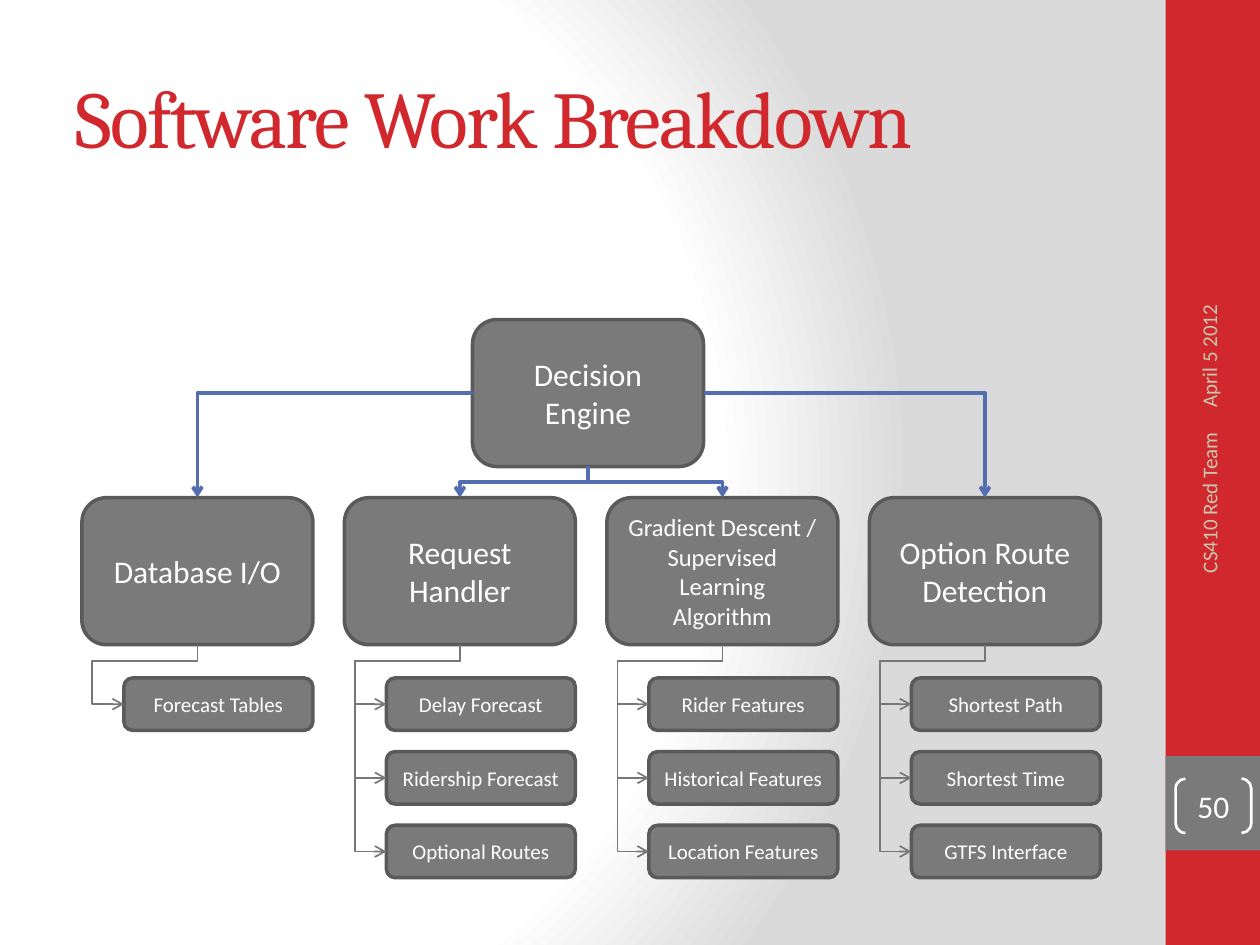
from pptx import Presentation
from pptx.dml.color import RGBColor
from pptx.enum.shapes import MSO_CONNECTOR, MSO_SHAPE
from pptx.enum.text import MSO_ANCHOR, PP_ALIGN
from pptx.oxml import parse_xml
from pptx.oxml.ns import nsdecls, qn
from pptx.util import Pt

ELBOW = MSO_CONNECTOR.ELBOW
RECTANGLE, ROUNDED = MSO_SHAPE.RECTANGLE, MSO_SHAPE.ROUNDED_RECTANGLE
BRACKETS = MSO_SHAPE.DOUBLE_BRACKET
MIDDLE = MSO_ANCHOR.MIDDLE
LEFT, CENTER, RIGHT = PP_ALIGN.LEFT, PP_ALIGN.CENTER, PP_ALIGN.RIGHT
TOP_SIDE, LEFT_SIDE, BOTTOM_SIDE, RIGHT_SIDE = range(4)

RED = RGBColor(0xD1, 0x28, 0x2E)
GRAY = RGBColor(0x7A, 0x7A, 0x7A)
DARK_GRAY = RGBColor(0x5A, 0x5A, 0x5A)
LINE_GRAY = RGBColor(0x77, 0x77, 0x77)
BLUE = RGBColor(0x52, 0x6D, 0xB0)
BEIGE = RGBColor(0xC8, 0xC8, 0xB1)
WHITE = RGBColor(0xFF, 0xFF, 0xFF)

# Chart grid, in points
COLUMN_LEFT, COLUMN_STEP = 46.8, 150
BOX_WIDTH, BOX_HEIGHT, BOX_TOP = 132, 84, 284.4
ROOT_LEFT, ROOT_TOP = 270, 182.6
LEAF_WIDTH, LEAF_HEIGHT, LEAF_TOP, LEAF_STEP = 108, 30, 387.4, 42.1
LEAF_DROP, LEAF_OUTSET = 9.4, 18

BRANCHES = [
    ("Database I/O", 18, ["Forecast Tables"]),
    ("Request Handler", 18,
     ["Delay Forecast", "Ridership Forecast", "Optional Routes"]),
    ("Gradient Descent / Supervised Learning\vAlgorithm", 14,
     ["Rider Features", "Historical Features", "Location Features"]),
    ("Option Route Detection", 18,
     ["Shortest Path", "Shortest Time", "GTFS Interface"]),
]


def side_point(box, side):
    """Middle of one side of a box."""
    x = {LEFT_SIDE: 0, RIGHT_SIDE: box.width}.get(side, box.width // 2)
    y = {TOP_SIDE: 0, BOTTOM_SIDE: box.height}.get(side, box.height // 2)
    return box.left + x, box.top + y


class SlideBuilder:
    body_font = "Calibri"
    title_font = "Cambria"

    def __init__(self, slide):
        self.slide = slide

    def background(self):
        self.slide.background.fill.gradient()
        old = self.slide.element.xpath(".//p:bgPr/a:gradFill")[0]
        stops = "".join(
            f'<a:gs pos="{place}"><a:srgbClr val="{color}"/></a:gs>'
            for place, color in ((0, "FFFFFF"), (75000, "FFFFFF"), (100000, "DADADA")))
        old.getparent().replace(old, parse_xml(
            f'<a:gradFill {nsdecls("a")} rotWithShape="1"><a:gsLst>{stops}</a:gsLst>'
            '<a:path path="circle"><a:fillToRect l="20000" t="50000" r="100000" '
            'b="50000"/></a:path></a:gradFill>'))

    def set_text(self, shape, text, size, color, align=CENTER, font=body_font):
        frame = shape.text_frame
        frame.text = text
        frame.word_wrap = True
        frame.vertical_anchor = MIDDLE
        para = frame.paragraphs[0]
        para.alignment = align
        for span in para.runs:
            span.font.name = font
            span.font.size = Pt(size)
            span.font.color.rgb = color

    def title(self, text, left, top, width, height):
        title = self.slide.shapes.title
        title.left, title.top = Pt(left), Pt(top)
        title.width, title.height = Pt(width), Pt(height)
        self.set_text(title, text, 46, RED, LEFT, self.title_font)
        title.text_frame.paragraphs[0].runs[0].font._element.set("spc", "-100")

    def shape(self, kind, left, top, width, height, fill=None, line=None, weight=2):
        shape = self.slide.shapes.add_shape(
            kind, Pt(left), Pt(top), Pt(width), Pt(height))
        shape.shadow.inherit = False
        if fill is None:
            shape.fill.background()
        else:
            shape.fill.solid()
            shape.fill.fore_color.rgb = fill
        if line is None:
            shape.line.fill.background()
        else:
            shape.line.color.rgb = line
            shape.line.width = Pt(weight)
        return shape

    def box(self, text, size, left, top, width, height):
        box = self.shape(ROUNDED, left, top, width, height, GRAY, DARK_GRAY)
        self.set_text(box, text, size, WHITE)
        return box

    def side_text(self, text, left, top, width, height, align):
        label = self.slide.shapes.add_textbox(
            Pt(left), Pt(top), Pt(width), Pt(height))
        label.rotation = 270
        self.set_text(label, text, 12, BEIGE, align)

    def bracketed_number(self, text, left, top, width, height):
        shape = self.shape(BRACKETS, left, top, width, height, None, WHITE, 1.5)
        shape.adjustments[0] = 0.18
        self.set_text(shape, text, 18, WHITE)
        frame = shape.text_frame
        frame.margin_left = frame.margin_right = 0
        frame.margin_top = frame.margin_bottom = 0

    def elbow(self, start, start_side, end, end_side, preset, color, weight):
        """Bent arrow that leaves the start box sideways or downwards."""
        (x1, y1), (x2, y2) = side_point(start, start_side), side_point(end, end_side)
        link = self.slide.shapes.add_connector(ELBOW, x1, y1, x2, y2)
        link.begin_connect(start, start_side)
        link.end_connect(end, end_side)
        link.line.color.rgb = color
        link.line.width = Pt(weight)
        properties = link._element.spPr
        properties.find(qn("a:ln")).append(
            parse_xml(f'<a:tailEnd {nsdecls("a")} type="arrow"/>'))
        properties.append(parse_xml(f'<a:effectLst {nsdecls("a")}/>'))

        # Turn the preset so that it leaves the start side squarely
        width, height = abs(x2 - x1), y2 - y1
        leftward = x2 < x1
        if start_side == BOTTOM_SIDE:
            width, height = height, width
            turn, flip = (90, None) if leftward else (270, "flipH")
        else:
            turn, flip = (180, "flipV") if leftward else (0, None)
        frame = properties.find(qn("a:xfrm"))
        for name in ("flipH", "flipV"):
            frame.attrib.pop(name, None)
        frame.set("rot", str(turn * 60000))
        if flip:
            frame.set(flip, "1")
        link.left, link.top = (x1 + x2 - width) // 2, (y1 + y2 - height) // 2
        link.width, link.height = width, height

        geometry = properties.find(qn("a:prstGeom"))
        geometry.set("prst", preset)
        if preset == "bentConnector4":
            ratios = (Pt(LEAF_DROP) / width, 1 + Pt(LEAF_OUTSET) / height)
            guides = geometry.find(qn("a:avLst"))
            for number, ratio in enumerate(ratios, 1):
                guides.append(parse_xml(
                    f'<a:gd {nsdecls("a")} name="adj{number}" '
                    f'fmla="val {round(ratio * 100000)}"/>'))


def main():
    deck = Presentation()
    deck.slide_width, deck.slide_height = Pt(720), Pt(540)
    builder = SlideBuilder(deck.slides.add_slide(deck.slide_layouts[5]))

    # Background, side band and title
    builder.background()
    builder.shape(RECTANGLE, 666, 0, 54, 540, RED)
    builder.shape(RECTANGLE, 666, 432, 54, 54, GRAY)
    builder.title("Software Work Breakdown", 36, 21.6, 600, 90)
    builder.side_text("April 5 2012", 594.7, 129.6, 192, 28.8, LEFT)
    builder.side_text("CS410 Red Team", 597.6, 319, 186.5, 28.8, RIGHT)
    builder.bracketed_number("50", 671.8, 445, 43.2, 31)

    # Root of the breakdown
    root = builder.box("Decision Engine", 18, ROOT_LEFT, ROOT_TOP, BOX_WIDTH, BOX_HEIGHT)
    root_sides = [LEFT_SIDE, BOTTOM_SIDE, BOTTOM_SIDE, RIGHT_SIDE]

    # Branches with their leaves
    for column, (name, size, leaves) in enumerate(BRANCHES):
        left = COLUMN_LEFT + column * COLUMN_STEP
        branch = builder.box(name, size, left, BOX_TOP, BOX_WIDTH, BOX_HEIGHT)
        side = root_sides[column]
        preset = "bentConnector3" if side == BOTTOM_SIDE else "bentConnector2"
        builder.elbow(root, side, branch, TOP_SIDE, preset, BLUE, 2)
        for row, leaf_name in enumerate(leaves):
            leaf = builder.box(leaf_name, 12, left + BOX_WIDTH - LEAF_WIDTH,
                               LEAF_TOP + row * LEAF_STEP, LEAF_WIDTH, LEAF_HEIGHT)
            builder.elbow(branch, BOTTOM_SIDE, leaf, LEFT_SIDE,
                          "bentConnector4", LINE_GRAY, 1)

    deck.save("out.pptx")


if __name__ == "__main__":
    main()
